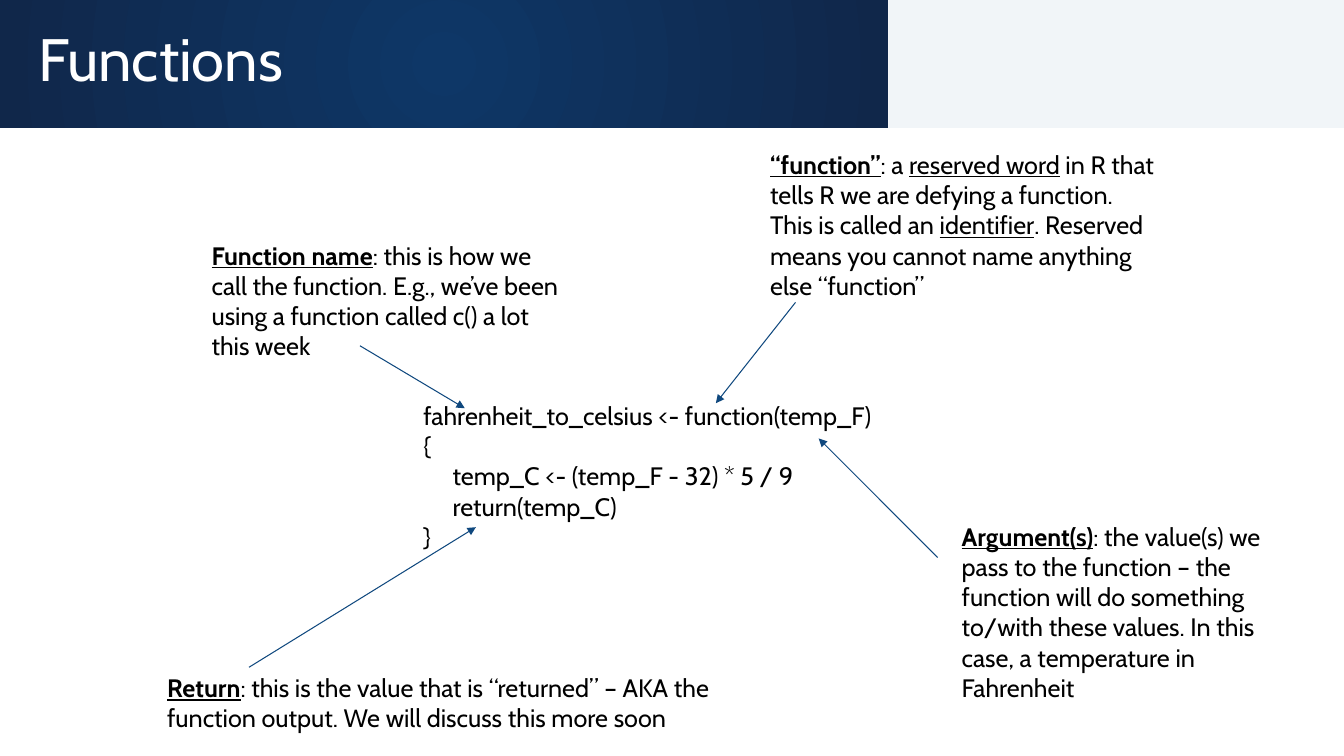
import pptx
import pptx.util
import pptx.dml.color
import pptx.enum.shapes
import pptx.enum.text
import pptx.oxml
import pptx.oxml.ns
import lxml.etree

Inches = pptx.util.Inches
qn = pptx.oxml.ns.qn

BODY = {"name": "Cabin", "size": pptx.util.Pt(18)}
TERM = {"bold": True, "underline": True}
KEYWORD = {"underline": True}
PLAIN = {}

HEADER_BOX = (0, 0, 13.33, 1.27)
CODE_BOX = (4.1, 3.92, 6.67, 1.62)
CODE_INDENT = 0.29
CODE_LINES = [
    ("fahrenheit_to_celsius <- function(temp_F)", 0),
    ("{", 0),
    ("temp_C <- (temp_F - 32) * 5 / 9", 1),
    ("return(temp_C)", 1),
    ("}", 0),
]

# Callout box, arrow start within it, arrow end within the code box, text runs
CALLOUTS = [
    ((2, 2.33, 3.72, 1.31), (1.57, 1.1), (0.51, 0.13), [
        ("Function name", TERM),
        (": this is how we call the function. E.g., we’ve been using a function "
         "called c() a lot this week", PLAIN),
    ]),
    ((7.54, 1.43, 4.06, 1.62), (0.35, 1.57), (3, 0.08), [
        ("“function”", TERM),
        (": a ", PLAIN),
        ("reserved word", KEYWORD),
        (" in R that tells R we are defying a function. This is called an ", PLAIN),
        ("identifier", KEYWORD),
        (". Reserved means you cannot name anything else “function”", PLAIN),
    ]),
    ((9.44, 5.12, 3.17, 1.92), (-0.14, 0.41), (4.02, 0.43), [
        ("Argument(s)", TERM),
        (": the value(s) we pass to the function – the function will do something "
         "to/with these values. In this case, a temperature in Fahrenheit", PLAIN),
    ]),
    ((1.56, 6.62, 5.84, 0.71), (0.91, 0), (0.62, 1.31), [
        ("Return", TERM),
        (": this is the value that is “returned” – AKA the function output. "
         "We will discuss this more soon", PLAIN),
    ]),
]


def color(hex_string):
    return pptx.dml.color.RGBColor.from_string(hex_string)


def set_attributes(target, values):
    for name, value in values.items():
        setattr(target, name, value)


def add_run(paragraph, text, style, ink="000000"):
    run = paragraph.add_run()
    run.text = text
    set_attributes(run.font, {**BODY, **style})
    run.font.color.rgb = color(ink)


def add_panel(slide, box):
    panel = slide.shapes.add_shape(
        pptx.enum.shapes.MSO_SHAPE.RECTANGLE, *map(Inches, box))
    panel.shadow.inherit = False
    panel.line.fill.background()
    return panel


def add_text_frame(slide, box):
    frame = slide.shapes.add_textbox(*map(Inches, box)).text_frame
    set_attributes(frame, {
        "word_wrap": True,
        "auto_size": pptx.enum.text.MSO_AUTO_SIZE.SHAPE_TO_FIT_TEXT,
    })
    return frame


def add_header(slide, box, heading):
    left, top, width, height = box
    banner_width = 8.81

    # Pale panel on the right
    side = add_panel(slide, (left + banner_width, top, width - banner_width, height))
    side.fill.solid()
    side.fill.fore_color.rgb = color("F0F4F8")
    side_color = side.element.spPr.find(".//" + qn("a:srgbClr"))
    lxml.etree.SubElement(side_color, qn("a:alpha"), val="90000")

    # Dark banner, lighter at its centre
    banner = add_panel(slide, (left, top, banner_width, height))
    banner.fill.gradient()
    for stop, shade in zip(banner.fill.gradient_stops, ("0E3767", "10274A")):
        stop.color.rgb = color(shade)
    gradient = banner.element.spPr.find(qn("a:gradFill"))
    circle = lxml.etree.Element(qn("a:path"), path="circle")
    lxml.etree.SubElement(circle, qn("a:fillToRect"),
                          dict.fromkeys("ltrb", "50000"))
    gradient.replace(gradient.find(qn("a:lin")), circle)

    # Title in front of the banner
    title = slide.shapes.title
    title.element.getparent().append(title.element)
    set_attributes(title, {
        "left": Inches(left + 0.28), "top": Inches(top + 0.1),
        "width": Inches(8.26), "height": Inches(1.08),
    })
    set_attributes(title.text_frame, {
        "word_wrap": True,
        "auto_size": pptx.enum.text.MSO_AUTO_SIZE.NONE,
        "vertical_anchor": pptx.enum.text.MSO_ANCHOR.MIDDLE,
    })
    paragraph = title.text_frame.paragraphs[0]
    set_attributes(paragraph, {
        "alignment": pptx.enum.text.PP_ALIGN.LEFT, "line_spacing": 0.8})
    add_run(paragraph, heading, {"size": pptx.util.Pt(42.7)}, "FFFFFF")


def add_code(slide, box):
    frame = add_text_frame(slide, box)
    for number, (text, level) in enumerate(CODE_LINES):
        paragraph = frame.add_paragraph() if number else frame.paragraphs[0]
        add_run(paragraph, text, PLAIN)
        if level:
            properties = paragraph.runs[0].font and frame.paragraphs[number]
            properties.alignment = pptx.enum.text.PP_ALIGN.LEFT
            frame_xml = slide.shapes[-1].element
            frame_xml.findall(".//" + qn("a:pPr"))[-1].set(
                "marL", str(Inches(level * CODE_INDENT)))


def add_callout(slide, box, code_box, start, end, runs):
    paragraph = add_text_frame(slide, box).paragraphs[0]
    for text, style in runs:
        add_run(paragraph, text, style)

    # Arrow from the callout to its place in the code
    arrow = slide.shapes.add_connector(
        pptx.enum.shapes.MSO_CONNECTOR.STRAIGHT,
        Inches(box[0] + start[0]), Inches(box[1] + start[1]),
        Inches(code_box[0] + end[0]), Inches(code_box[1] + end[1]))
    arrow.line.color.rgb = color("0F487E")
    arrow.line.width = pptx.util.Pt(0.75)
    properties = arrow.element.spPr
    lxml.etree.SubElement(properties.find(qn("a:ln")), qn("a:tailEnd"), type="triangle")
    lxml.etree.SubElement(properties, qn("a:effectLst"))


def main():
    deck = pptx.Presentation()
    set_attributes(deck, {"slide_width": Inches(13.33), "slide_height": Inches(7.5)})
    slide = deck.slides.add_slide(deck.slide_layouts.get_by_name("Title Only"))
    add_header(slide, HEADER_BOX, "Functions")
    add_code(slide, CODE_BOX)
    for box, start, end, runs in CALLOUTS:
        add_callout(slide, box, CODE_BOX, start, end, runs)
    deck.save("out.pptx")


if __name__ == "__main__":
    main()
